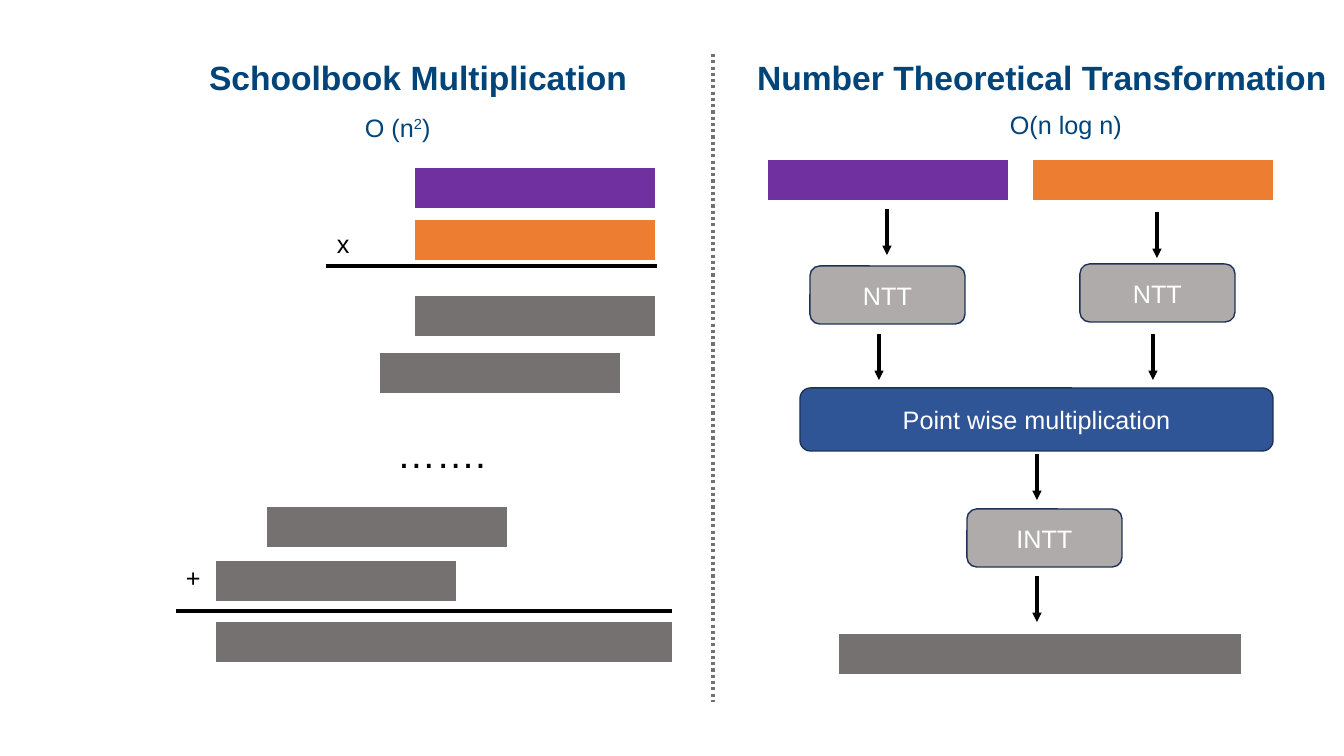
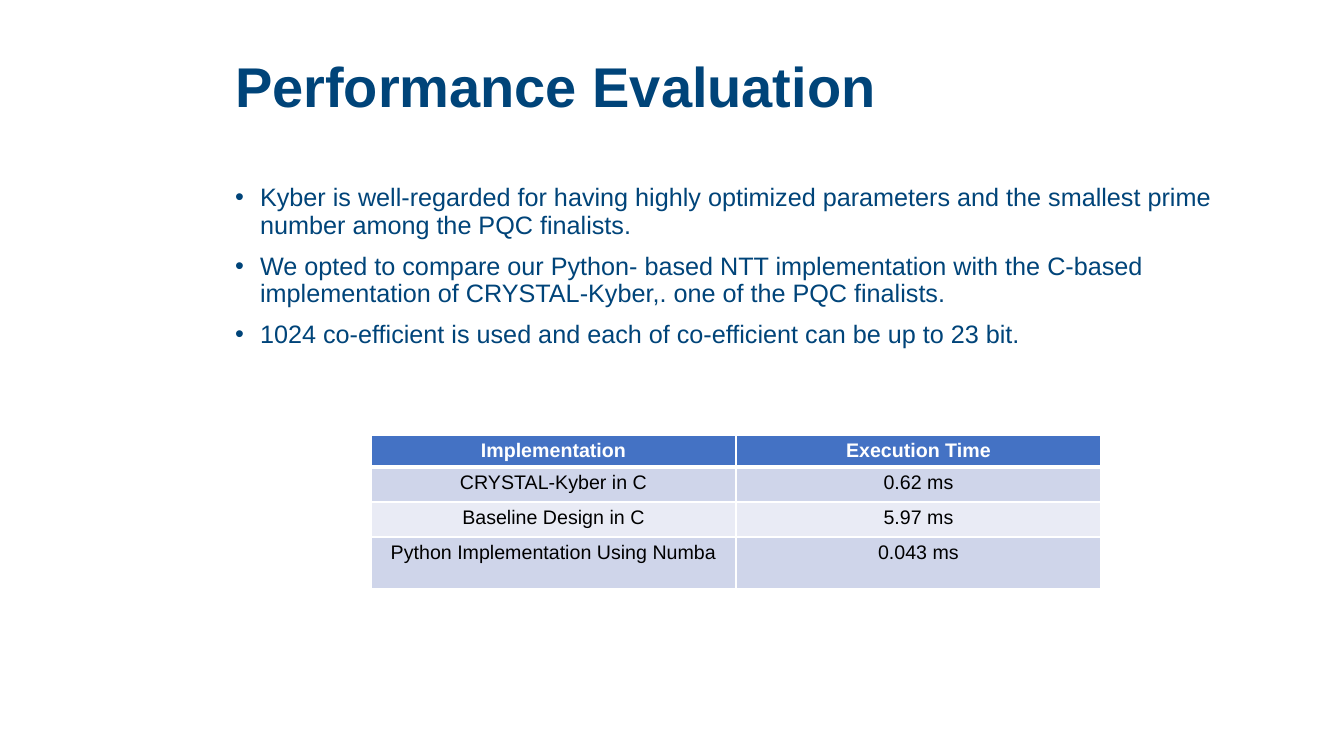
from pptx import Presentation
from pptx.dml.color import RGBColor
from pptx.enum.dml import MSO_LINE as Dash
from pptx.enum.shapes import MSO_CONNECTOR as Link, MSO_SHAPE as Form
from pptx.enum.text import MSO_ANCHOR as Anchor, MSO_AUTO_SIZE as Fit, PP_ALIGN as Align
from pptx.oxml.ns import qn
from pptx.util import Pt
from lxml.etree import SubElement as Sub

SCALE = 914400 / 100.8
NAVY, BLACK, WHITE = "004479", "000000", "FFFFFF"
PURPLE, ORANGE, GREY, SILVER = "7030A0", "ED7D31", "767171", "AFABAB"
BLUE, EDGE = "2F5597", "1E3256"
HEAD, BANDS = "4472C4", ("E9EBF5", "CFD5EA")
PLAIN = "{2D5ABB26-0587-4C30-8999-92F81FD0307C}"  # table style without grid


def px(*sizes):
    return [round(size * SCALE) for size in sizes]


def rgb(code):
    return RGBColor.from_string(code)


def paint(fill, code):
    fill.solid()
    fill.fore_color.rgb = rgb(code)


def border(cell, **widths):
    """Draw white edges; keys are L, R, T, B and values are points."""
    props = cell._tc.get_or_add_tcPr()
    for side, width in widths.items():
        edge = Sub(props, qn(f"a:ln{side}"), w=str(Pt(width)))
        Sub(Sub(edge, qn("a:solidFill")), qn("a:srgbClr"), val=WHITE)


class Deck:
    def __init__(self):
        self.file = Presentation()
        self.file.slide_width, self.file.slide_height = px(1344, 756)

    def add(self, layout):
        self.slide = self.file.slides.add_slide(self.file.slide_layouts[layout])
        self.shapes = self.slide.shapes

    def style(self, para, size, color=NAVY, bold=False, align=Align.LEFT):
        para.alignment = align
        font = para.font
        font.name, font.size, font.bold = "Arial", Pt(size), bold
        font.color.rgb = rgb(color)

    def place(self, shape, box):
        shape.left, shape.top, shape.width, shape.height = px(*box)
        shape.text_frame.auto_size = Fit.NONE

    def title(self, text, box, size, stop=None):
        shape = self.shapes.title
        self.place(shape, box)
        frame = shape.text_frame
        frame.text, frame.vertical_anchor = text, Anchor.MIDDLE
        para = frame.paragraphs[0]
        para.line_spacing = 0.9
        if stop:
            tabs = Sub(para._p.get_or_add_pPr(), qn("a:tabLst"))
            Sub(tabs, qn("a:tab"), pos=str(px(stop)[0]), algn="l")
        self.style(para, size, bold=True)

    def bullets(self, items, box):
        shape = self.slide.placeholders[1]
        self.place(shape, box)
        shape.text_frame.text = "\n".join(items)
        step = px(25)[0]
        for para in shape.text_frame.paragraphs:
            props = para._p.get_or_add_pPr()
            props.set("marL", str(step))
            props.set("indent", str(-step))
            para.line_spacing, para.space_before = 0.9, Pt(10)
            self.style(para, 18)

    def text(self, parts, box, size=18, color=BLACK, wrap=True):
        """Write parts as runs; every second one is raised."""
        frame = self.shapes.add_textbox(*px(*box)).text_frame
        frame.word_wrap = wrap
        para = frame.paragraphs[0]
        for i, part in enumerate(parts):
            run = para.add_run()
            run.text = part
            if i % 2:
                run._r.get_or_add_rPr().set("baseline", "30000")
        self.style(para, size, color)

    def grid(self, rows, cols, box):
        frame = self.shapes.add_table(rows, cols, *px(*box))
        next(frame.element.iter(qn("a:tableStyleId"))).text = PLAIN
        return frame.table

    def bar(self, left, top, color, width=240):
        table = self.grid(1, 5, (left, top, width, 38))
        table.first_row = table.horz_banding = False
        for cell in table.iter_cells():
            paint(cell.fill, color)

    def table(self, rows, box, heights):
        table = self.grid(len(rows), len(rows[0]), box)
        for i, (row, height) in enumerate(zip(rows, heights)):
            table.rows[i].height = px(height)[0]
            for j, text in enumerate(row):
                cell = table.cell(i, j)
                border(cell, L=1, R=1, T=1 if i != 1 else 3, B=1 if i else 3)
                paint(cell.fill, BANDS[i % 2] if i else HEAD)
                cell.text = text
                self.style(cell.text_frame.paragraphs[0], 14,
                           BLACK if i else WHITE, not i, Align.CENTER)

    def block(self, text, left, top, width=155, height=58, color=SILVER):
        shape = self.shapes.add_shape(Form.ROUNDED_RECTANGLE,
                                      *px(left, top, width, height))
        shape.shadow.inherit = False
        paint(shape.fill, color)
        paint(shape.line.fill, EDGE)
        shape.line.width = Pt(1)
        frame = shape.text_frame
        frame.text, frame.vertical_anchor = text, Anchor.MIDDLE
        self.style(frame.paragraphs[0], 18, WHITE, align=Align.CENTER)

    def line(self, x1, y1, x2, y2, color=BLACK):
        link = self.shapes.add_connector(Link.STRAIGHT, *px(x1, y1, x2, y2))
        paint(link.line.fill, color)
        link.line.width = Pt(2.25)
        Sub(link.element.spPr, qn("a:effectLst"))
        return link.line

    def arrow(self, x, y):
        line = self.line(x, y, x, y + 46)
        Sub(line._get_or_add_ln(), qn("a:tailEnd"), type="triangle")


def methods(deck):
    deck.add(5)
    deck.title("Schoolbook Multiplication\tNumber Theoretical Transformation",
               (199, 54, 1145, 52), 24, stop=548)
    deck.line(713, 54, 713, 702, GREY).dash_style = Dash.ROUND_DOT

    deck.text(["O (n", "2", ")"], (355, 107, 136, 40), color=NAVY)
    for left, top, color in ((415, 168, PURPLE), (415, 220, ORANGE),
                             (415, 296, GREY), (380, 353, GREY),
                             (267, 507, GREY), (216, 561, GREY)):
        deck.bar(left, top, color)
    deck.bar(216, 622, GREY, 456)
    deck.line(326, 266, 657, 266)
    deck.line(176, 611, 672, 611)
    deck.text(["x"], (327, 223, 28, 40))
    deck.text(["+"], (176, 557, 28, 40))
    deck.text(["……."], (387, 424, 139, 57), 28)

    deck.text(["O(n log n)"], (1000, 104, 133, 40), color=NAVY, wrap=False)
    deck.bar(768, 160, PURPLE)
    deck.bar(1033, 160, ORANGE)
    for x, y in ((887, 209), (1157, 212), (879, 334), (1153, 334),
                 (1037, 454), (1037, 576)):
        deck.arrow(x, y)
    deck.block("NTT", 810, 266)
    deck.block("NTT", 1080, 264)
    deck.block("Point wise multiplication", 800, 388, 473, 63, BLUE)
    deck.block("INTT", 967, 509)
    deck.bar(839, 634, GREY, 402)


def results(deck):
    deck.add(1)
    deck.title("Performance Evaluation", (225, 56, 1058, 66), 40)
    deck.bullets([
        "Kyber is well-regarded for having highly optimized parameters and "
        "the smallest prime number among the PQC finalists.",
        "We opted to compare our Python- based NTT implementation with the "
        "C-based implementation of CRYSTAL-Kyber,. one of the PQC finalists.",
        "1024 co-efficient is used and each of co-efficient can be up to 23 bit.",
    ], (225, 180, 1058, 473))
    deck.table([("Implementation", "Execution Time"),
                ("CRYSTAL-Kyber in C", "0.62 ms"),
                ("Baseline Design in C", "5.97 ms"),
                ("Python Implementation Using Numba", "0.043 ms")],
               (371, 435, 730, 153), (31, 35, 35, 52))


def main():
    deck = Deck()
    methods(deck)
    results(deck)
    deck.file.save("out.pptx")


if __name__ == "__main__":
    main()
